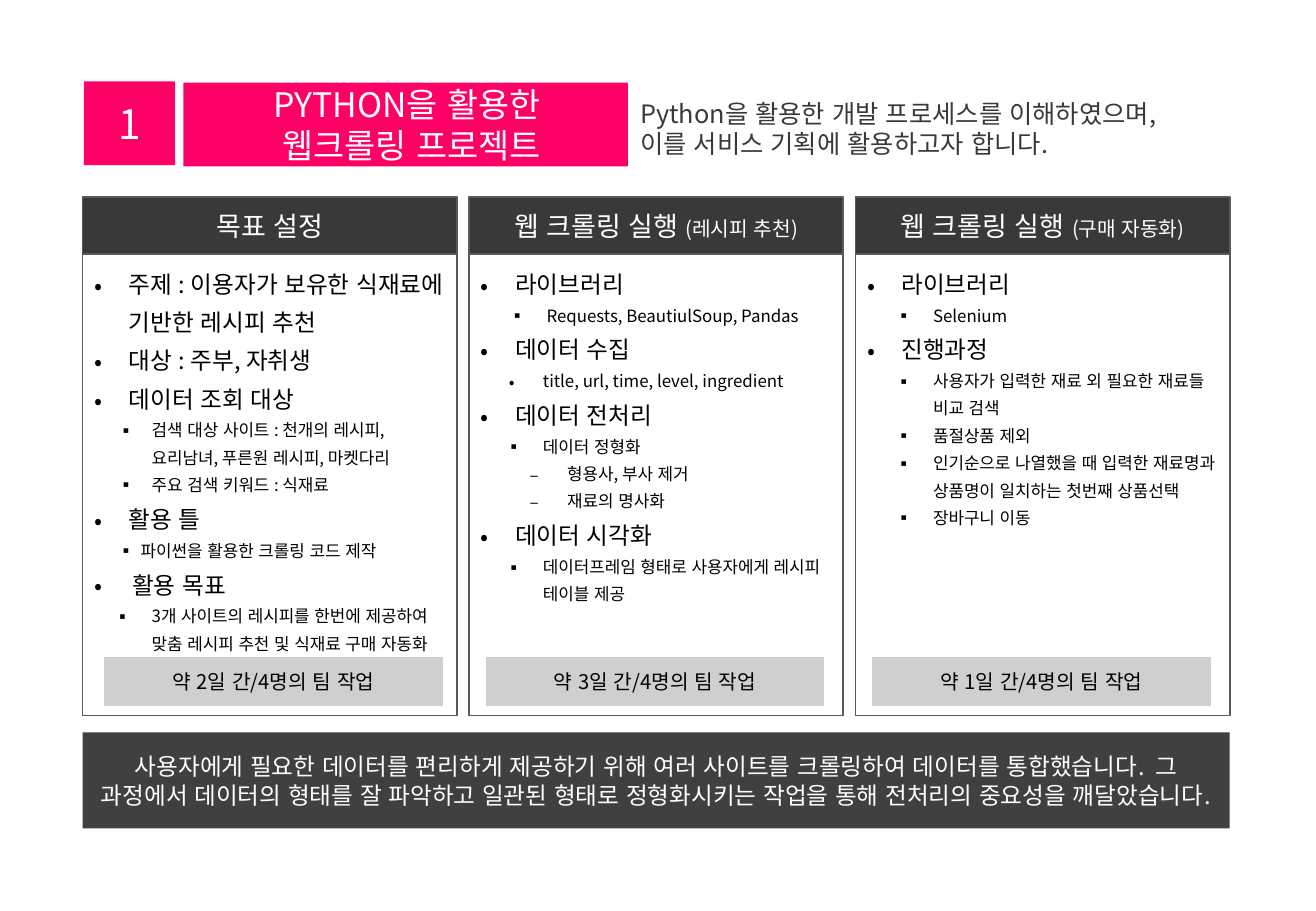
import pptx
import pptx.util
import pptx.dml.color
import pptx.enum.lang
import pptx.enum.shapes
import pptx.enum.text
import pptx.oxml.ns
import lxml.etree

FONT = "Noto Sans CJK KR"
COLORS = {"dark": "3B3838", "footer": "404040", "pink": "FF0066", "gray": "D0CECE",
          "border": "595959", "white": "FFFFFF", "black": "000000"}
ALIGN = pptx.enum.text.PP_ALIGN
ANCHOR = pptx.enum.text.MSO_ANCHOR
W, H = 10.83, 7.5
LEFT, STEP, COL_W = 0.68, 3.18, 3.08
HEAD_Y, HEAD_H, BODY_H = 1.62, 0.47, 3.8
BAR_Y, BAR_W, BAR_H = 5.4, 2.8, 0.42

prs = pptx.Presentation()
prs.slide_width, prs.slide_height = pptx.util.Inches(W), pptx.util.Inches(H)
s = prs.slides.add_slide(prs.slide_layouts[5])


def rgb(name):
    return pptx.dml.color.RGBColor.from_string(COLORS[name])


def box(at, fill, color, paragraphs, line=None, align=ALIGN.CENTER, anchor=ANCHOR.MIDDLE, sp=None):
    x, y, w, h = [pptx.util.Inches(v) for v in at]
    if sp is None:
        sp = s.shapes.add_shape(pptx.enum.shapes.MSO_SHAPE.RECTANGLE, x, y, w, h)
        sp.shadow.inherit = False
    sp.left, sp.top, sp.width, sp.height = x, y, w, h
    sp.fill.solid()
    sp.fill.fore_color.rgb = rgb(fill)
    if line:
        sp.line.color.rgb = rgb(line)
        sp.line.width = pptx.util.Pt(1)
    else:
        sp.line.fill.background()
    tf = sp.text_frame
    tf.word_wrap = True
    tf.auto_size = pptx.enum.text.MSO_AUTO_SIZE.NONE
    tf.vertical_anchor = anchor
    for i, (runs, bullet) in enumerate(paragraphs):
        p = tf.paragraphs[0] if i == 0 else tf.add_paragraph()
        p.alignment = align
        if bullet:
            char, indent, hang = bullet
            p.line_spacing = 1.35
            pPr = p._p.get_or_add_pPr()
            pPr.set("marL", str(pptx.util.Inches(indent)))
            pPr.set("indent", str(-pptx.util.Inches(hang)))
            lxml.etree.SubElement(pPr, pptx.oxml.ns.qn("a:buFont")).set("typeface", FONT)
            lxml.etree.SubElement(pPr, pptx.oxml.ns.qn("a:buChar")).set("char", char)
        for text, size in runs:
            r = p.add_run()
            r.text = text
            r.font.size = pptx.util.Pt(size)
            r.font.name = FONT
            r.font.color.rgb = rgb(color)
            r.font.language_id = pptx.enum.lang.MSO_LANGUAGE_ID.KOREAN
            ea = lxml.etree.SubElement(r._r.get_or_add_rPr(), pptx.oxml.ns.qn("a:ea"))
            ea.set("typeface", FONT)


TOPIC = (14, "•", 0.28, 0.28)
GOAL = (14, "•", 0.31, 0.31)
SITE = (10, "▪", 0.47, 0.28)
TOOL = (10, "▪", 0.38, 0.19)
RESULT = (10, "▪", 0.47, 0.31)
ITEM = (10, "▪", 0.54, 0.31)
FIELD = (10, "•", 0.51, 0.28)
STAGE = (10, "▪", 0.51, 0.31)
DETAIL = (10, "‒", 0.71, 0.31)

columns = [
    ([("목표 설정", 16)], 0.17, "약 2일 간/4명의 팀 작업", [
        ("주제 : 이용자가 보유한 식재료에 기반한 레시피 추천", TOPIC),
        ("대상 : 주부, 자취생", TOPIC),
        ("데이터 조회 대상", TOPIC),
        ("검색 대상 사이트 : 천개의 레시피, 요리남녀, 푸른원 레시피, 마켓다리", SITE),
        ("주요 검색 키워드 : 식재료", SITE),
        ("활용 틀", TOPIC),
        ("파이썬을 활용한 크롤링 코드 제작", TOOL),
        ("활용 목표", GOAL),
        ("3개 사이트의 레시피를 한번에 제공하여 맞춤 레시피 추천 및 식재료 구매 자동화", RESULT),
    ]),
    ([("웹 크롤링 실행 ", 16), ("(레시피 추천)", 12)], 0.13, "약 3일 간/4명의 팀 작업", [
        ("라이브러리", TOPIC),
        ("Requests, BeautiulSoup, Pandas", ITEM),
        ("데이터 수집", TOPIC),
        ("title, url, time, level, ingredient", FIELD),
        ("데이터 전처리", TOPIC),
        ("데이터 정형화", STAGE),
        ("형용사, 부사 제거", DETAIL),
        ("재료의 명사화", DETAIL),
        ("데이터 시각화", TOPIC),
        ("데이터프레임 형태로 사용자에게 레시피 테이블 제공", STAGE),
    ]),
    ([("웹 크롤링 실행 ", 16), ("(구매 자동화)", 12)], 0.13, "약 1일 간/4명의 팀 작업", [
        ("라이브러리", TOPIC),
        ("Selenium", ITEM),
        ("진행과정", TOPIC),
        ("사용자가 입력한 재료 외 필요한 재료들 비교 검색", ITEM),
        ("품절상품 제외", ITEM),
        ("인기순으로 나열했을 때 입력한 재료명과 상품명이 일치하는 첫번째 상품선택", ITEM),
        ("장바구니 이동", ITEM),
    ]),
]

box((1.51, 0.68, 3.76, 0.69), "pink", "white",
    [([("PYTHON을 활용한 ", 20)], None), ([("웹크롤링 프로젝트", 20)], None)], sp=s.shapes.title)
box((0.69, 0.67, 0.75, 0.69), "pink", "white", [([("1", 24)], None)])
box((5.17, 0.66, 4.66, 0.79), "white", "dark",
    [([("Python을 활용한 개발 프로세스를 이해하였으며,", 15)], None),
     ([("이를 서비스 기획에 활용하고자 합니다.", 15)], None)], align=ALIGN.LEFT)

for i, (heading, bar_dx, effort, items) in enumerate(columns):
    x = LEFT + i * STEP
    body = [([(text, size)], bullet) for text, (size, *bullet) in items]
    box((x, HEAD_Y, COL_W, HEAD_H), "dark", "white", [(heading, None)], line="border")
    box((x, HEAD_Y + HEAD_H, COL_W, BODY_H), "white", "black", body, line="border",
        align=ALIGN.LEFT, anchor=ANCHOR.TOP)
    box((x + bar_dx, BAR_Y, BAR_W, BAR_H), "gray", "black", [([(effort, 12)], None)], line="white")

box((LEFT, 6.03, 2 * STEP + COL_W, 0.79), "footer", "white", [([(
    "사용자에게 필요한 데이터를 편리하게 제공하기 위해 여러 사이트를 크롤링하여 데이터를 통합했습니다.  그 "
    "과정에서 데이터의 형태를 잘 파악하고 일관된 형태로 정형화시키는 작업을 통해 전처리의 중요성을 깨달았습니다.",
    14)], None)])

prs.save("out.pptx")
